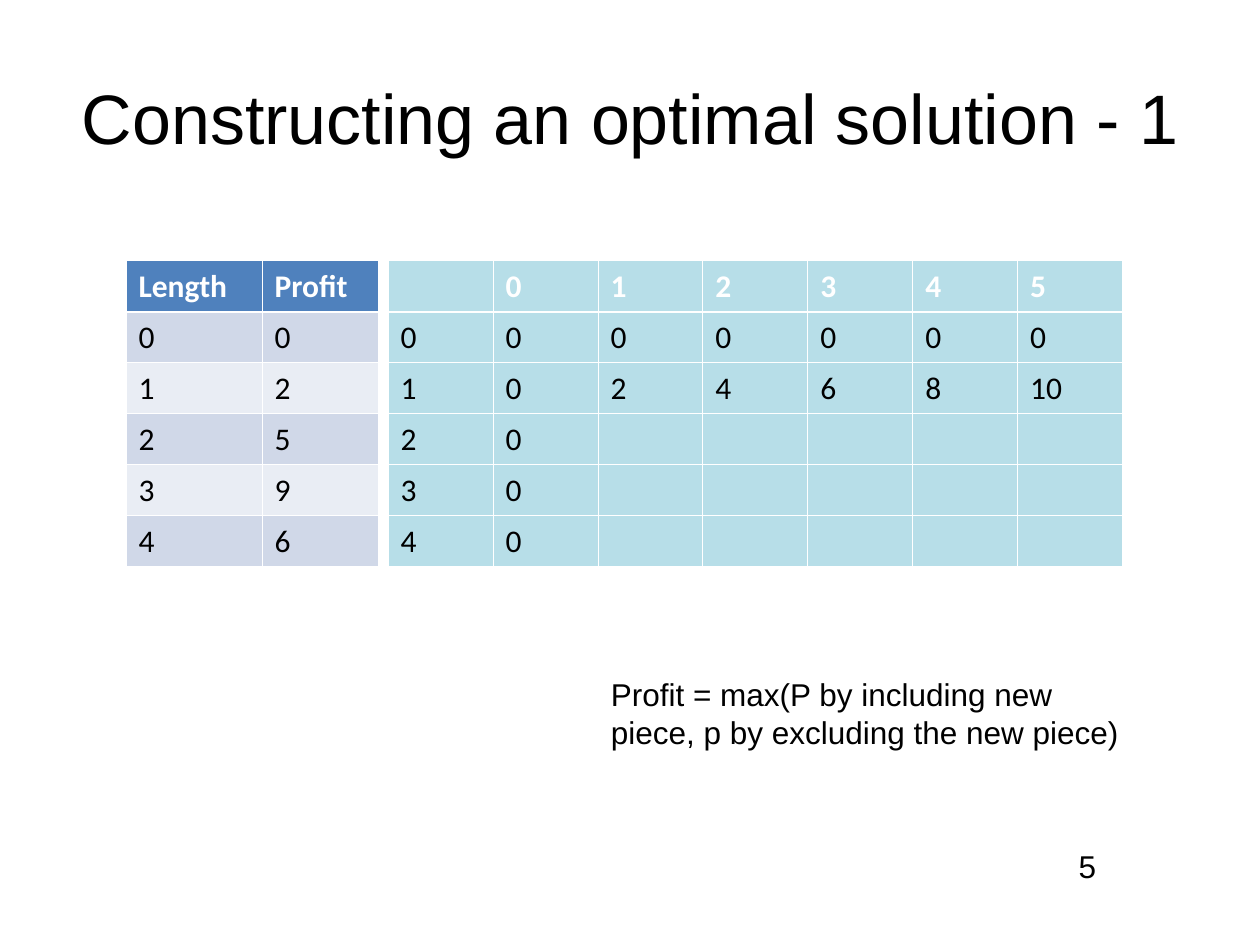
from lxml import etree
from pptx import Presentation
from pptx.dml.color import RGBColor
from pptx.enum.text import MSO_ANCHOR, PP_ALIGN
from pptx.oxml.ns import qn
from pptx.util import Inches, Pt

LEFT, CENTER = PP_ALIGN.LEFT, PP_ALIGN.CENTER
TOP, MIDDLE = MSO_ANCHOR.TOP, MSO_ANCHOR.MIDDLE

BLACK, WHITE = "000000", "FFFFFF"
BLUE, BAND_DARK, BAND_LIGHT = "4F81BD", "D0D8E8", "E9EDF4"
AQUA = "B7DEE8"


def color(hex_code):
    return RGBColor.from_string(hex_code)


class SlideBuilder:
    text_font = "Arial"
    table_font = "Calibri"
    body_size = 18
    thin, thick = 0.45, 1.47

    def __init__(self, slide):
        self.slide = slide

    def style(self, paragraph, font_name, size, hex_code, bold=False):
        font = paragraph.font
        font.name, font.size, font.bold = font_name, Pt(size), bold
        font.color.rgb = color(hex_code)

    def text(self, words, left, top, width, height, size=body_size,
             align=LEFT, anchor=TOP):
        box = self.slide.shapes.add_textbox(
            Inches(left), Inches(top), Inches(width), Inches(height))
        frame = box.text_frame
        frame.word_wrap = True
        frame.vertical_anchor = anchor
        paragraph = frame.paragraphs[0]
        paragraph.text = words
        paragraph.alignment = align
        self.style(paragraph, self.text_font, size, BLACK)

    def borders(self, cell, top, bottom):
        properties = cell._tc.get_or_add_tcPr()
        widths = {"a:lnL": self.thin, "a:lnR": self.thin,
                  "a:lnT": top, "a:lnB": bottom}
        for index, (side, width) in enumerate(widths.items()):
            line = etree.Element(qn(side), w=str(Pt(width)))
            fill = etree.SubElement(line, qn("a:solidFill"))
            etree.SubElement(fill, qn("a:srgbClr"), val=WHITE)
            properties.insert(index, line)

    def table(self, rows, left, top, column_widths, row_height,
              header_fill, band_fills):
        grid = self.slide.shapes.add_table(
            len(rows), len(column_widths), Inches(left), Inches(top),
            Inches(sum(column_widths)), Inches(row_height * len(rows))).table
        for column, width in zip(grid.columns, column_widths):
            column.width = Inches(width)
        for r, values in enumerate(rows):
            grid.rows[r].height = Inches(row_height)
            header = r == 0
            fill = header_fill if header else band_fills[(r - 1) % len(band_fills)]
            for c, value in enumerate(values):
                cell = grid.cell(r, c)
                cell.text = str(value)
                cell.vertical_anchor = MIDDLE
                cell.fill.solid()
                cell.fill.fore_color.rgb = color(fill)
                self.borders(cell, self.thick if r == 1 else self.thin,
                             self.thick if header else self.thin)
                self.style(cell.text_frame.paragraphs[0], self.table_font,
                           self.body_size, WHITE if header else BLACK, header)


def main():
    deck = Presentation()
    deck.slide_width, deck.slide_height = Inches(10), Inches(7.5)
    builder = SlideBuilder(deck.slides.add_slide(deck.slide_layouts[6]))

    # Page number and title
    builder.text("5", 7.92, 6.67, 1.42, 0.4, align=CENTER)
    builder.text("Constructing an optimal solution - 1", 0.5, 0.3, 9, 1.25,
                 size=40, align=CENTER, anchor=MIDDLE)

    # Best profit by piece and rod length
    table_top, row_height = 2.07, 0.405
    lengths = range(6)
    profits = [["", *lengths],
               [0] + [0] * len(lengths),
               [1] + [2 * length for length in lengths]]
    profits += [[piece, 0] + [""] * 5 for piece in (2, 3, 4)]
    builder.table(profits, 3.08, table_top, [5.83 / 7] * 7, row_height,
                  AQUA, [AQUA])

    # Recurrence
    builder.text("Profit = max(P by including new piece, "
                 "p by excluding the new piece)", 4.75, 5.31, 4.42, 0.7)

    # Price list
    prices = [("Length", "Profit"), (0, 0), (1, 2), (2, 5), (3, 9), (4, 6)]
    builder.table(prices, 1, table_top, [1.08, 0.92], row_height,
                  BLUE, [BAND_DARK, BAND_LIGHT])

    deck.save("out.pptx")


if __name__ == "__main__":
    main()
